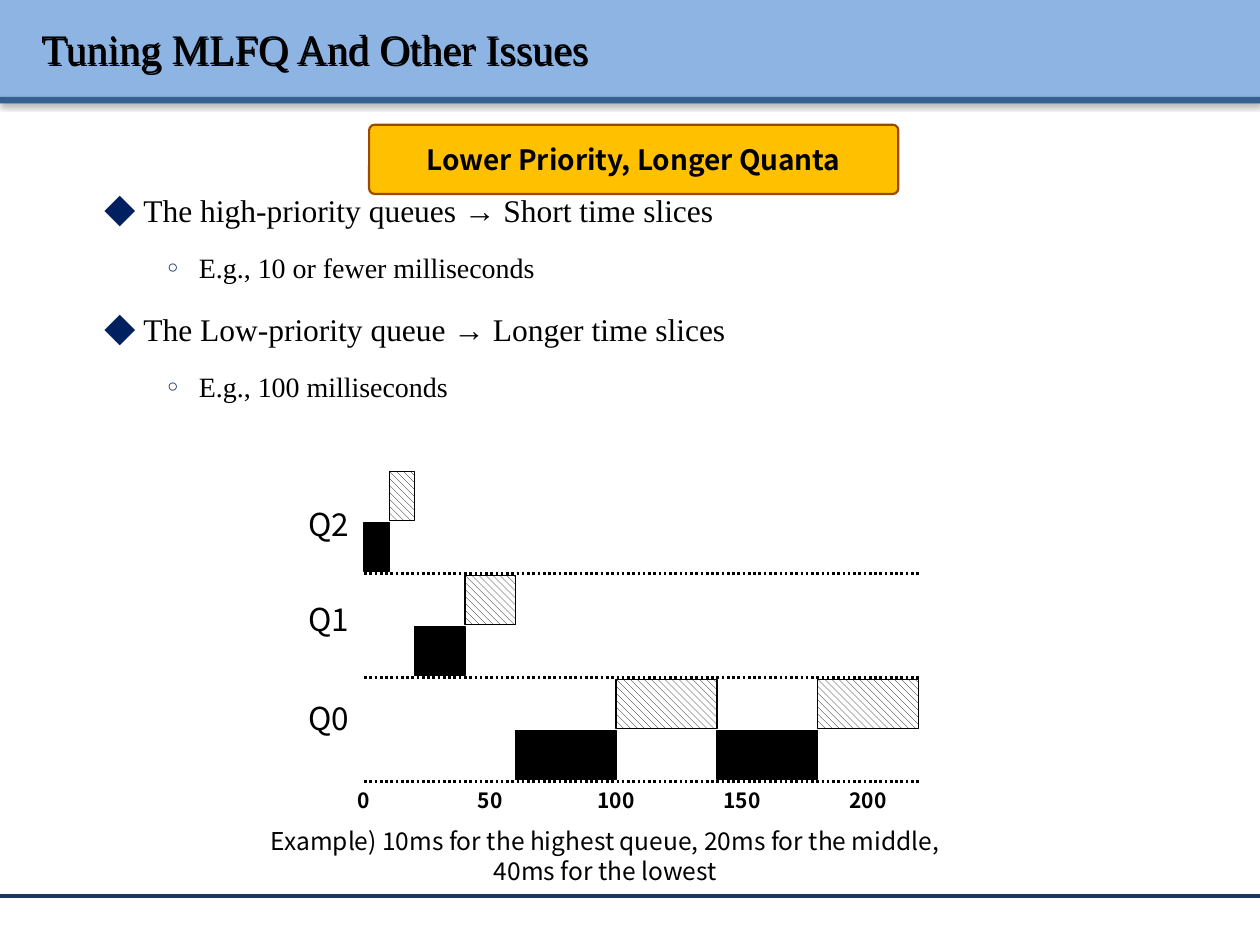
"""Build the slide on tuning MLFQ time slices per queue."""
from dataclasses import dataclass
from typing import Optional

import lxml.etree
import pptx
import pptx.dml.color
import pptx.enum.dml
import pptx.enum.shapes
import pptx.enum.text
import pptx.oxml
import pptx.oxml.ns
import pptx.util

SERIF, SANS = "Times New Roman", "Noto Sans CJK KR"
BLACK, WHITE, NAVY = "000000", "FFFFFF", "002060"
SLIDE_W, SLIDE_H = 10, 7.5
ORIGIN, MS, LANE_END = 28.9, 0.2, 220
FIRST_BASE, PITCH, BAR_H = 60.67, 11, 5.2
RECT = pptx.enum.shapes.MSO_SHAPE.RECTANGLE
ALIGN = pptx.enum.text.PP_ALIGN
ANCHOR = pptx.enum.text.MSO_ANCHOR
A_NS = pptx.oxml.ns.nsdecls("a")


@dataclass(frozen=True)
class Box:
    """Place and size in percent of the slide."""
    x: float
    y: float
    w: float
    h: float


@dataclass(frozen=True)
class Lane:
    """One queue with the start times of its two jobs."""
    name: str
    label_rise: float
    quantum: int
    solid: tuple[int, ...]
    hatched: tuple[int, ...]


@dataclass(frozen=True)
class Level:
    """Look of one bullet level."""
    mark: str
    mark_font: str
    mark_size: int
    margin: float
    indent: float
    size: int
    before: float


LANES = [
    Lane("Q2", 7.87, 10, (0,), (10,)),
    Lane("Q1", 8.8, 20, (20,), (40,)),
    Lane("Q0", 9.34, 40, (60, 140), (100, 180)),
]
LEVELS = [
    Level("◆", SANS, 100, 0.81, -0.31, 18, 4),
    Level("○", SERIF, 65, 1.25, -0.25, 16, 2.8),
]
POINTS = [
    (0, "The high-priority queues → Short time slices"),
    (1, "E.g., 10 or fewer milliseconds"),
    (0, "The Low-priority queue → Longer time slices"),
    (1, "E.g., 100 milliseconds"),
]
CAPTION = ["Example) 10ms for the highest queue, 20ms for the middle,", "40ms for the lowest"]


def rgb(value: str) -> pptx.dml.color.RGBColor:
    """Turn a hex string into a colour."""
    return pptx.dml.color.RGBColor.from_string(value)


def across(share: float) -> int:
    """Length of a percentage of the slide's width."""
    return pptx.util.Inches(share * SLIDE_W / 100)


def down(share: float) -> int:
    """Length of a percentage of the slide's height."""
    return pptx.util.Inches(share * SLIDE_H / 100)


def at_time(ms: float) -> float:
    """Horizontal position of a moment on the time axis."""
    return ORIGIN + ms * MS


def edges(box: Box) -> tuple[int, int, int, int]:
    """Left, top, width and height of a box."""
    return across(box.x), down(box.y), across(box.w), down(box.h)


def cast_shadow(sp, blur: float, distance: float, angle: int, opacity: int) -> None:
    """Give a shape a black outer shadow, with lengths in points."""
    sp.shadow.inherit = False
    effects = sp._element.spPr.find(pptx.oxml.ns.qn("a:effectLst"))
    effects.append(pptx.oxml.parse_xml(
        f'<a:outerShdw {A_NS} blurRad="{pptx.util.Pt(blur)}" dist="{pptx.util.Pt(distance)}" '
        f'dir="{angle * 60000}" rotWithShape="0"><a:srgbClr val="{BLACK}">'
        f'<a:alpha val="{opacity * 1000}"/></a:srgbClr></a:outerShdw>'))


def style(p, font: str, size: float, bold: bool = False) -> None:
    """Set the font of a paragraph."""
    p.font.name, p.font.size, p.font.bold = font, pptx.util.Pt(size), bold
    p.font.color.rgb = rgb(BLACK)


def add_text(s, box: Box, lines: list[str], font: str, size: float, align,
             bold: bool = False, anchor=ANCHOR.TOP):
    """Add a text box with one paragraph for each line."""
    sp = s.shapes.add_textbox(*edges(box))
    tf = sp.text_frame
    tf.word_wrap, tf.vertical_anchor = True, anchor
    for i, line in enumerate(lines):
        p = tf.add_paragraph() if i else tf.paragraphs[0]
        p.add_run().text = line
        p.alignment = align
        style(p, font, size, bold)
    return sp


def add_block(s, box: Box, fill: Optional[str], line: Optional[str] = None,
              width: float = 0.75, kind=RECT):
    """Add a filled shape, hatched when no fill colour is given."""
    sp = s.shapes.add_shape(kind, *edges(box))
    sp.shadow.inherit = False
    if fill:
        sp.fill.solid()
        sp.fill.fore_color.rgb = rgb(fill)
    else:
        sp.fill.patterned()
        sp.fill.pattern = pptx.enum.dml.MSO_PATTERN.WIDE_DOWNWARD_DIAGONAL
        sp.fill.fore_color.rgb, sp.fill.back_color.rgb = rgb(BLACK), rgb(WHITE)
    if line:
        sp.line.color.rgb, sp.line.width = rgb(line), pptx.util.Pt(width)
    else:
        sp.line.fill.background()
    return sp


def add_rule(s, x1: float, x2: float, y: float, color: str, width: float, dotted: bool) -> None:
    """Add a horizontal line."""
    c = s.shapes.add_connector(pptx.enum.shapes.MSO_CONNECTOR.STRAIGHT,
                               across(x1), down(y), across(x2), down(y))
    c.line.color.rgb, c.line.width = rgb(color), pptx.util.Pt(width)
    if dotted:
        c.line.dash_style = pptx.enum.dml.MSO_LINE.ROUND_DOT
    lxml.etree.SubElement(c._element.spPr, pptx.oxml.ns.qn("a:effectLst"))


def add_frame(s) -> None:
    """Add the header band, the title and the footer rule."""
    for box, fill in ((Box(0, 0, 100, 10.27), "8EB4E3"), (Box(0, 10.27, 100, 0.67), "376092")):
        cast_shadow(add_block(s, box, fill), 3.1, 1.6, 90, 38)
    add_rule(s, 0, 100, 94.8, "17375E", 2, False)
    title = add_text(s, Box(2.3, 0.8, 96.1, 8.53), ["Tuning MLFQ And Other Issues"],
                     SERIF, 24, ALIGN.LEFT, anchor=ANCHOR.MIDDLE)
    cast_shadow(title, 0, 1.2, 45, 100)


def add_points(s, box: Box) -> None:
    """Add the bulleted list."""
    tf = s.shapes.add_textbox(*edges(box)).text_frame
    tf.word_wrap = True
    for i, (depth, text) in enumerate(POINTS):
        level = LEVELS[depth]
        p = tf.add_paragraph() if i else tf.paragraphs[0]
        p.add_run().text = text
        p.level, p.line_spacing = depth, 1.5
        p.space_before = pptx.util.Pt(level.before if i else 0)
        props = p._p.get_or_add_pPr()
        props.set("marL", str(pptx.util.Inches(level.margin)))
        props.set("indent", str(pptx.util.Inches(level.indent)))
        for xml in (f'<a:buClr {A_NS}><a:srgbClr val="{NAVY}"/></a:buClr>',
                    f'<a:buSzPct {A_NS} val="{level.mark_size * 1000}"/>',
                    f'<a:buFont {A_NS} typeface="{level.mark_font}"/>',
                    f'<a:buChar {A_NS} char="{level.mark}"/>'):
            props.append(pptx.oxml.parse_xml(xml))
        style(p, SERIF, level.size)


def add_lane(s, lane: Lane, base: float) -> None:
    """Add one queue with its label, base line and bars."""
    add_rule(s, ORIGIN, at_time(LANE_END), base, BLACK, 1.5, True)
    add_text(s, Box(21.8, base - lane.label_rise, 6.9, 5.33), [lane.name], SANS, 18, ALIGN.RIGHT)
    for starts, rise, fill in ((lane.hatched, 10.8, None), (lane.solid, 5.4, BLACK)):
        for start in starts:
            bar = Box(at_time(start), base - rise, lane.quantum * MS, BAR_H)
            add_block(s, bar, fill, BLACK)


def main() -> None:
    """Build and save the slide."""
    prs = pptx.Presentation()
    prs.slide_width, prs.slide_height = across(100), down(100)
    s = prs.slides.add_slide(prs.slide_layouts[6])
    add_frame(s)
    add_points(s, Box(2.3, 17.54, 96.1, 30))
    for i, lane in enumerate(LANES):
        add_lane(s, lane, FIRST_BASE + i * PITCH)
    for ms in range(0, LANE_END, 50):
        add_text(s, Box(at_time(ms) - 4, 82.67, 8, 4), [str(ms)], SANS, 12, ALIGN.CENTER, True)
    add_text(s, Box(12.2, 86.8, 71.7, 7.6), CAPTION, SANS, 14, ALIGN.CENTER)
    sp = add_block(s, Box(29.3, 13.2, 42, 7.33), "FFC000", "984807", 1.25,
                   pptx.enum.shapes.MSO_SHAPE.ROUNDED_RECTANGLE)
    sp.adjustments[0] = 0.08
    sp.text_frame.vertical_anchor = ANCHOR.MIDDLE
    p = sp.text_frame.paragraphs[0]
    p.add_run().text = "Lower Priority, Longer Quanta"
    p.alignment = ALIGN.CENTER
    style(p, SANS, 16, True)
    prs.save("out.pptx")


if __name__ == "__main__":
    main()
